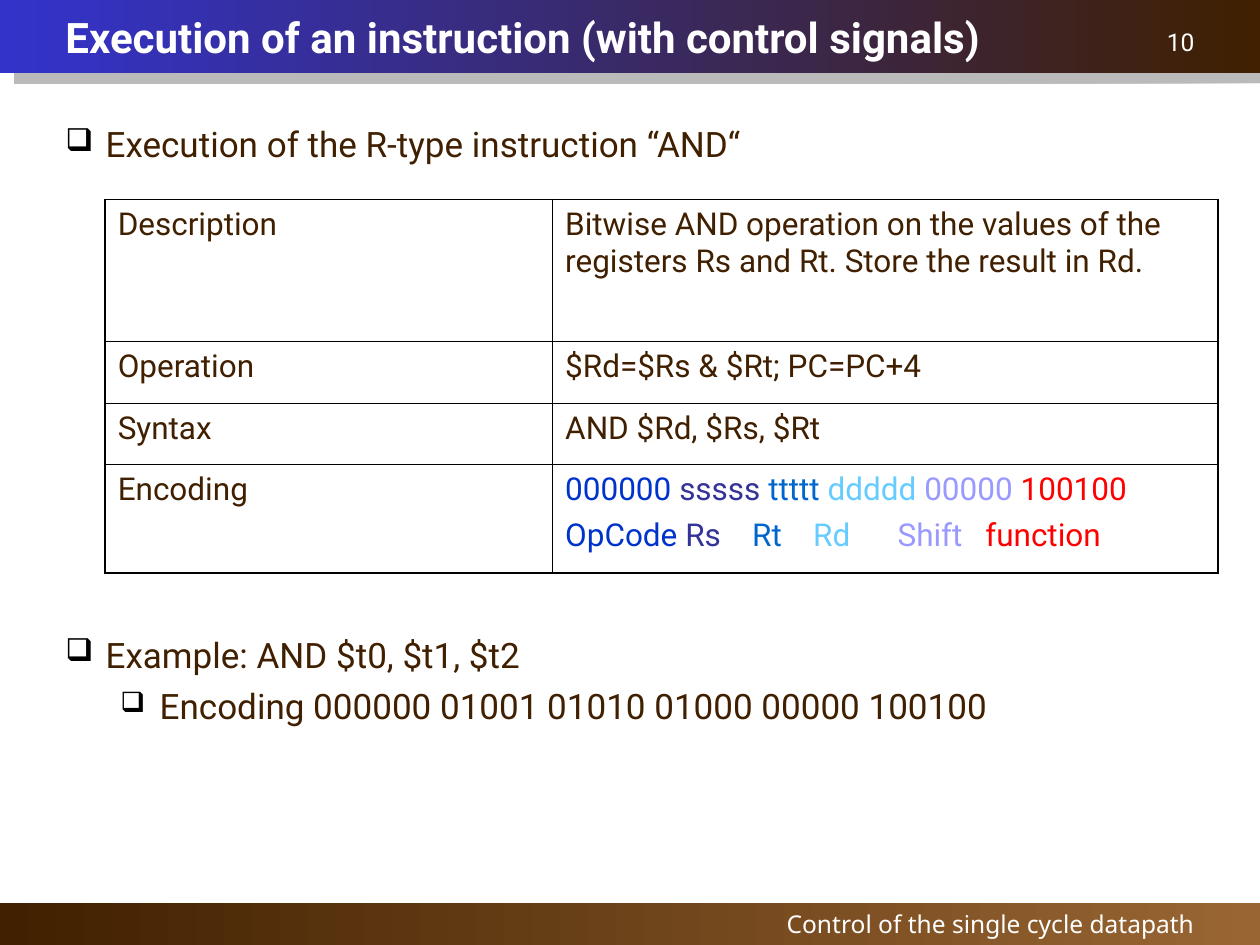
from lxml.etree import SubElement
from pptx import Presentation
from pptx.dml.color import RGBColor
from pptx.enum.shapes import MSO_SHAPE as SHAPE
from pptx.enum.text import MSO_ANCHOR as ANCHOR, PP_ALIGN as ALIGN
from pptx.oxml.ns import qn
from pptx.util import Cm, Pt

WHITE = RGBColor(0xFF, 0xFF, 0xFF)
BLACK = RGBColor(0, 0, 0)
BROWN = RGBColor(0x40, 0x20, 0x00)
TAN = RGBColor(0x99, 0x66, 0x33)
BLUE = RGBColor(0x33, 0x33, 0xCC)
GREY = RGBColor(0x77, 0x77, 0x77)

WIDTH, HEIGHT = 25.4, 19.05
HEAD, FOOT = 1.47, 0.84
THICK, THIN = 1.08, 0.45

TITLE = "Execution of an instruction (with control signals)"
FOOTER = "Control of the single cycle datapath"
PAGE = "10"

# Each block: top, then (level, text) lines
BLOCKS = [
    (2.34, [(0, "Execution of the R-type instruction “AND“")]),
    (12.64, [(0, "Example: AND $t0, $t1, $t2"),
             (1, "Encoding 000000 01001 01010 01000 00000 100100")]),
]
# Left margin, hanging indent, bullet size in percent
LEVELS = [(0.81, 0.81, 90), (1.9, 0.79, 80)]

# Bits, field name, colour, position of the name
FIELDS = [
    ("000000", "OpCode", RGBColor(0x00, 0x33, 0xCC), 0),
    ("sssss", "Rs", RGBColor(0x33, 0x33, 0x99), 2.42),
    ("ttttt", "Rt", RGBColor(0x00, 0x66, 0xCC), 3.77),
    ("ddddd", "Rd", RGBColor(0x66, 0xCC, 0xFF), 5),
    ("00000", "Shift", RGBColor(0x99, 0x99, 0xFF), 6.7),
    ("100100", "function", RGBColor(0xFF, 0x00, 0x00), 8.47),
]
ROWS = [
    ("Description", "Bitwise AND operation on the values of the registers "
                    "Rs and Rt. Store the result in Rd.", 2.87),
    ("Operation", "$Rd=$Rs & $Rt; PC=PC+4", 1.24),
    ("Syntax", "AND $Rd, $Rs, $Rt", 1.24),
    ("Encoding", "", 2.18),
]
COLS = [9.02, 13.41]


def style(font, size, color, name="Roboto", bold=False):
    font.size, font.name, font.bold = Pt(size), name, bold
    font.color.rgb = color


def add_color(parent, color):
    return SubElement(parent, qn("a:srgbClr"), val=str(color))


def add_bar(slide, top, height, right, left):
    bar = slide.shapes.add_shape(SHAPE.RECTANGLE, 0, Cm(top),
                                 Cm(WIDTH), Cm(height))
    bar.shadow.inherit = False
    bar.line.fill.background()
    bar.fill.gradient()
    bar.fill.gradient_angle = 180
    for stop, color, place in zip(bar.fill.gradient_stops, (right, left), (0, 1)):
        stop.color.rgb, stop.position = color, place
    return bar


def cast_shadow(shape):
    effects = shape._element.spPr.find(qn("a:effectLst"))
    shadow = SubElement(effects, qn("a:outerShdw"), blurRad="0",
                        dist=str(Pt(10.4)), dir=str(35 * 60000),
                        algn="ctr", rotWithShape="0")
    SubElement(add_color(shadow, GREY), qn("a:alpha"), val="50000")


def add_box(slide, left, top, width, height):
    box = slide.shapes.add_textbox(Cm(left), Cm(top), Cm(width), Cm(height))
    box.text_frame.word_wrap = True
    return box.text_frame


def add_label(slide, text, spot, size, align=ALIGN.RIGHT, **look):
    frame = add_box(slide, *spot)
    frame.text = text
    para = frame.paragraphs[0]
    para.alignment = align
    style(para.runs[0].font, size, WHITE, **look)
    return frame


def next_para(frame, index):
    """Return the first paragraph, or a new one set apart from the last."""
    para = frame.add_paragraph() if index else frame.paragraphs[0]
    para.line_spacing = 1.01
    if index:
        para.space_before = Pt(5)
    return para


def add_bullet(para, level):
    left, hang, size = LEVELS[level]
    para.level = level
    props = para._p.get_or_add_pPr()
    props.set("marL", str(Cm(left)))
    props.set("indent", str(-Cm(hang)))
    add_color(SubElement(props, qn("a:buClr")), BLACK)
    SubElement(props, qn("a:buSzPct"), val=str(size * 1000))
    SubElement(props, qn("a:buChar"), char="❑")


def add_block(slide, top, lines):
    frame = add_box(slide, 1.07, top, 23.7, 1.3 * len(lines))
    for index, (level, text) in enumerate(lines):
        para = next_para(frame, index)
        add_bullet(para, level)
        para.add_run().text = text
        style(para.runs[0].font, 20, BROWN)


def add_borders(cell, row, col):
    props = cell._tc.get_or_add_tcPr()
    outer = {"lnL": col == 0, "lnR": col == len(COLS) - 1,
             "lnT": row == 0, "lnB": row == len(ROWS) - 1}
    for side, edge in outer.items():
        line = SubElement(props, qn("a:" + side),
                          w=str(Pt(THICK if edge else THIN)))
        add_color(SubElement(line, qn("a:solidFill")), BLACK)


def fill_encoding(frame):
    """Write the bits, then the field names aligned at tab stops."""
    for index, gap in enumerate((" ", "\t")):
        para = next_para(frame, index)
        if gap == "\t":
            tabs = SubElement(para._p.get_or_add_pPr(), qn("a:tabLst"))
            for field in FIELDS[1:]:
                SubElement(tabs, qn("a:tab"), pos=str(Cm(field[3])), algn="l")
        for field in FIELDS:
            run = para.add_run()
            run.text = field[index] + (gap if field != FIELDS[-1] else "")
            style(run.font, 18, field[2])


def add_grid(slide):
    heights = [row[2] for row in ROWS]
    table = slide.shapes.add_table(len(ROWS), len(COLS), Cm(2.12), Cm(4.02),
                                   Cm(sum(COLS)), Cm(sum(heights))).table
    table.first_row = table.horz_banding = False
    for col, width in enumerate(COLS):
        table.columns[col].width = Cm(width)
    for row, (*texts, height) in enumerate(ROWS):
        table.rows[row].height = Cm(height)
        for col, text in enumerate(texts):
            cell = table.cell(row, col)
            add_borders(cell, row, col)
            cell.fill.background()
            if text:
                para = next_para(cell.text_frame, 0)
                para.add_run().text = text
                style(para.runs[0].font, 18, BROWN)
            else:
                fill_encoding(cell.text_frame)


def main():
    deck = Presentation()
    deck.slide_width, deck.slide_height = Cm(WIDTH), Cm(HEIGHT)
    slide = deck.slides.add_slide(deck.slide_layouts[6])
    add_bar(slide, HEIGHT - FOOT, FOOT, TAN, BROWN)
    cast_shadow(add_bar(slide, 0, HEAD, BROWN, BLUE))
    add_label(slide, FOOTER, (11.63, 18.2, 12.7, 0.85), 14, name="Noto Sans")
    add_label(slide, PAGE, (19.05, 0.43, 5.28, 0.86), 14)
    title = add_label(slide, TITLE, (1.07, 0, 23.26, HEAD), 24,
                      ALIGN.LEFT, bold=True)
    title.vertical_anchor = ANCHOR.MIDDLE
    for top, lines in BLOCKS:
        add_block(slide, top, lines)
    add_grid(slide)
    deck.save("out.pptx")


if __name__ == "__main__":
    main()
